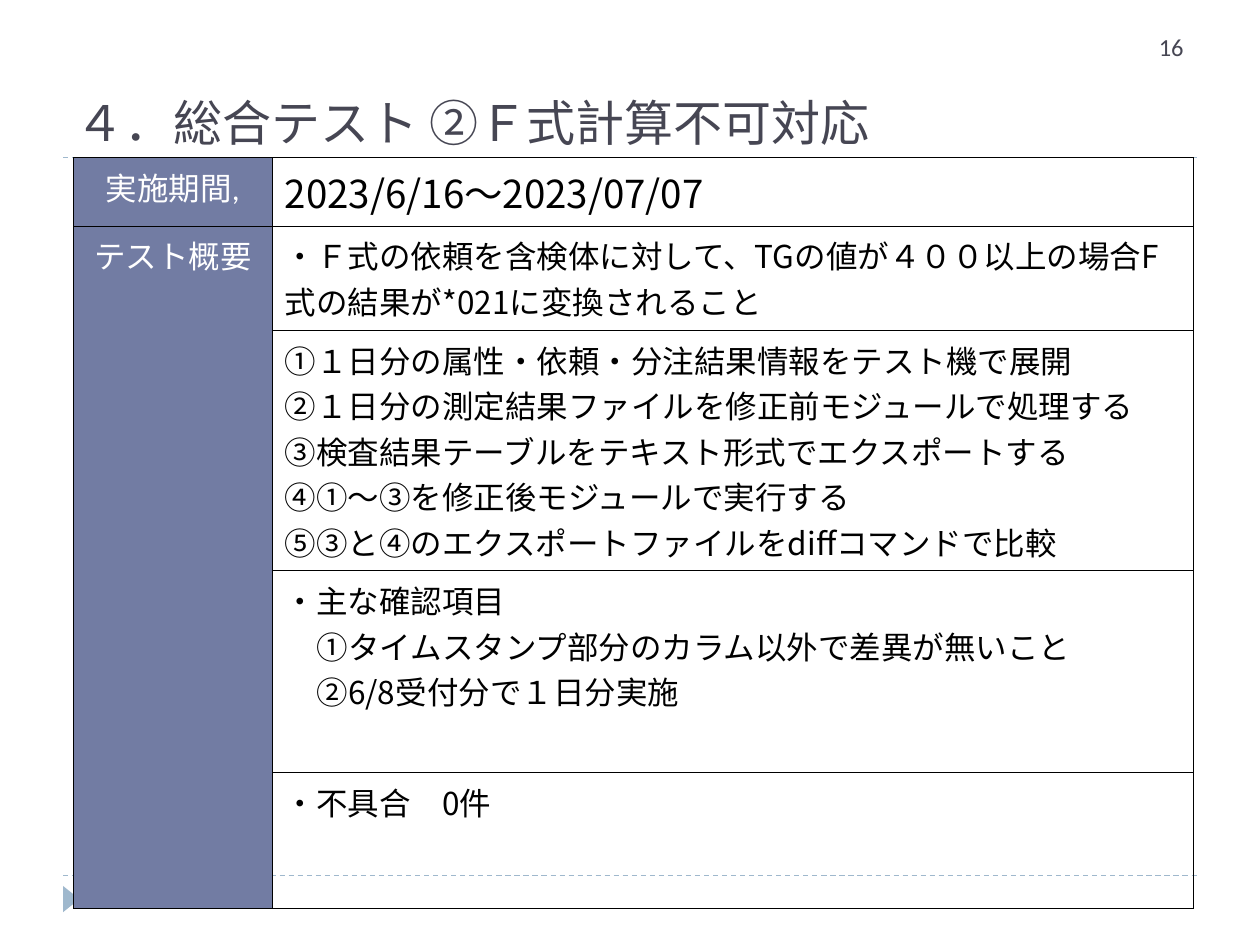
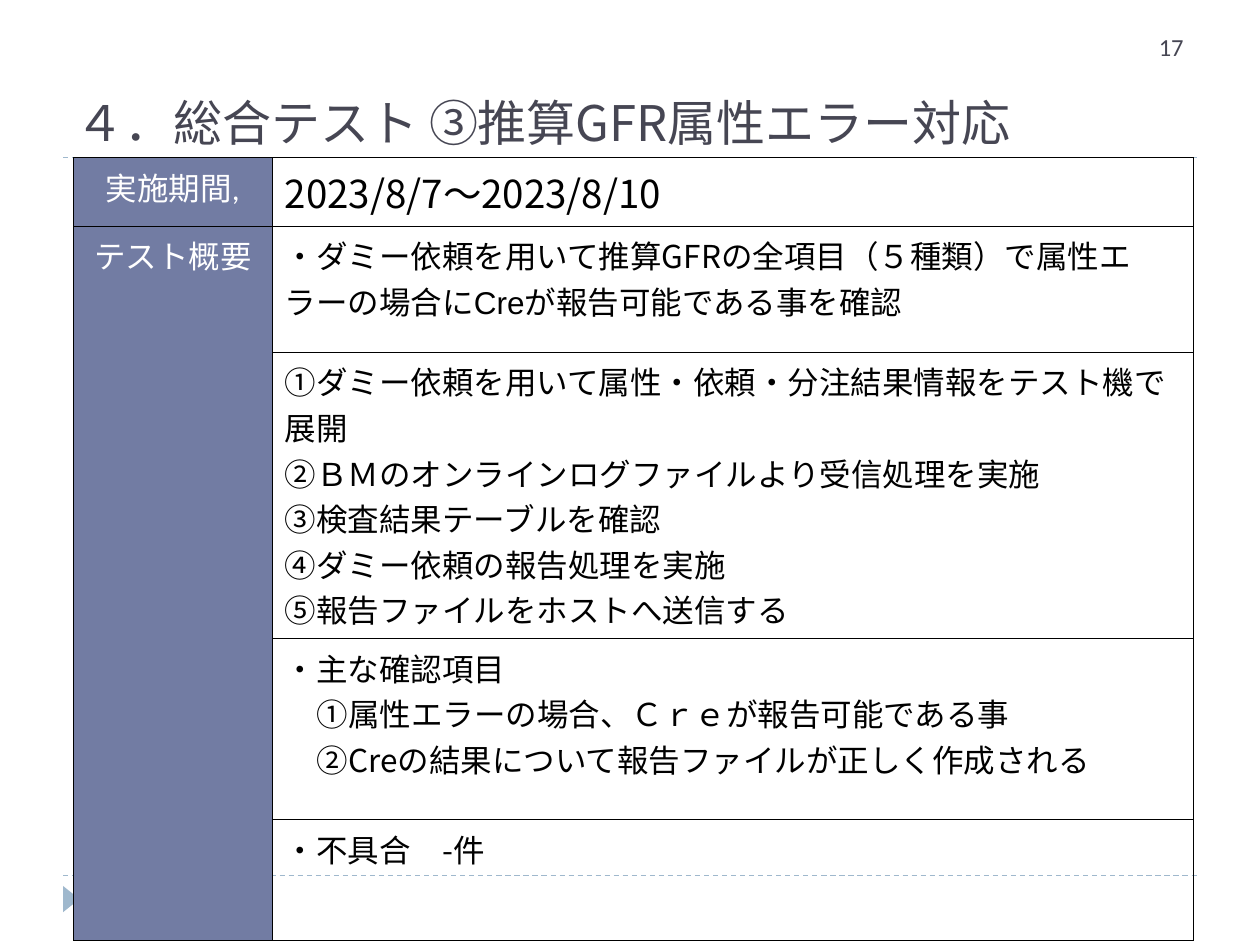
from pptx import Presentation as Pres
from pptx.dml.color import RGBColor as RGB
from pptx.enum.dml import MSO_LINE as Dash
from pptx.enum.shapes import MSO_CONNECTOR as Conn, MSO_SHAPE as Shape
from pptx.enum.text import MSO_ANCHOR as Anchor, MSO_AUTO_SIZE as Auto, PP_ALIGN as Align
from pptx.oxml import parse_xml
from pptx.oxml.ns import qn
from pptx.util import Cm, Pt
from lxml.etree import SubElement as Sub

NS = "http://schemas.openxmlformats.org/drawingml/2006/main"
NOTO, ARIAL, LATIN = "Noto Sans CJK JP", "Arial", "Calibri"
INK, NAVY, SKY, WHITE, BLACK = "464653", "727CA3", "9FB8CD", "FFFFFF", "000000"

HEAD = {"size": Pt(28), "name": NOTO, "color": INK}
PAGE = {"size": Pt(14), "name": LATIN, "color": INK}
LABEL = {"size": Pt(18), "name": LATIN, "color": WHITE}
DATE = {"size": Pt(22), "name": NOTO, "color": BLACK}
BODY = {**DATE, "size": Pt(18)}

LABELS = ["実施期間,", "テスト概要"]
COLS = [4.01, 18.57]
LEFT, RIGHT = 1.27, 24.13
TOP, FOOT = 3.18, 17.65

SLIDES = [
    {
        "page": "16",
        "title": ("４．総合テスト ②", "Ｆ式計算不可対応"),
        "rows": [1.37, 2.1, 4.83, 4.07, 2.73],
        "text": [
            ["2023/6/16～2023/07/07"],
            [("・Ｆ式の依頼を含検体に対して、TGの値が４００以上の場合F式の結果が*021に変換される", "こと")],
            [
                "①１日分の属性・依頼・分注結果情報をテスト機で展開",
                "②１日分の測定結果ファイルを修正前モジュールで処理する",
                "③検査結果テーブルをテキスト形式でエクスポートする",
                "④①～③を修正後モジュールで実行する",
                "⑤③と④のエクスポートファイルをdiffコマンドで比較",
            ],
            [
                "・主な確認項目",
                "①タイムスタンプ部分のカラム以外で差異が無いこと",
                "②6/8受付分で１日分実施",
            ],
            ["・不具合　0件"],
        ],
    },
    {
        "page": "17",
        "title": ("４．総合テスト ③推算GFR属性エラー", "対応"),
        "rows": [1.37, 2.54, 5.77, 3.66, 2.44],
        "text": [
            ["2023/8/7～2023/8/10"],
            [("・ダミー依頼を用いて推算GFRの全項目（５種類）で属性エラーの場合に", "Creが報告可能である事を確認")],
            [
                "①ダミー依頼を用いて属性・依頼・分注結果情報をテスト機で展開",
                "②ＢＭのオンラインログファイルより受信処理を実施",
                "③検査結果テーブルを確認",
                "④ダミー依頼の報告処理を実施",
                "⑤報告ファイルをホストへ送信する",
            ],
            [
                "・主な確認項目",
                "①属性エラーの場合、Ｃｒｅが報告可能である事",
                "②Creの結果について報告ファイルが正しく作成される",
            ],
            ["・不具合　-件"],
        ],
    },
]


def tint(part, color):
    part.solid()
    part.fore_color.rgb = RGB.from_string(color)


def apply(item, style):
    for key, value in style.items():
        if key == "color":
            item.color.rgb = RGB.from_string(value)
        else:
            setattr(item, key, value)


class Deck:
    def __init__(self):
        self.file = Pres()
        self.file.slide_width, self.file.slide_height = Cm(25.4), Cm(19.05)
        self.slide = None

    def start(self):
        self.slide = self.file.slides.add_slide(self.file.slide_layouts[5])
        tint(self.slide.background.fill, WHITE)

    def text(self, frame, lines, style, align=Align.LEFT, nest=False):
        for i, line in enumerate(lines):
            para = frame.paragraphs[0] if i == 0 else frame.add_paragraph()
            para.alignment = align
            if nest and i:
                para._p.get_or_add_pPr().set("marL", str(Cm(0.64)))
            parts = (line,) if isinstance(line, str) else line
            for words, name in zip(parts, (style["name"], ARIAL)):
                run = para.add_run()
                run.text = words
                apply(run.font, {**style, "name": name})
                Sub(run._r.get_or_add_rPr(), qn("a:ea"), typeface=NOTO)

    def rule(self, y):
        line = self.slide.shapes.add_connector(Conn.STRAIGHT, Cm(LEFT), Cm(y), Cm(RIGHT), Cm(y))
        apply(line.line, {"color": SKY, "width": Pt(0.75), "dash_style": Dash.DASH})
        Sub(line._element.spPr, qn("a:effectLst"))

    def mark(self):
        mark = self.slide.shapes.add_shape(
            Shape.ISOSCELES_TRIANGLE, Cm(1.17), Cm(17.96), Cm(0.53), Cm(0.33))
        mark.rotation = 90
        mark.shadow.inherit = False
        tint(mark.fill, SKY)
        mark.line.fill.background()

    def title(self, words):
        head = self.slide.shapes.title
        apply(head, {"left": Cm(LEFT), "top": Cm(0.64), "width": Cm(22.86), "height": Cm(2.54)})
        frame = head.text_frame
        apply(frame, {"auto_size": Auto.NONE, "word_wrap": True, "vertical_anchor": Anchor.BOTTOM})
        self.text(frame, [words], HEAD)

    def page(self, words):
        box = self.slide.shapes.add_textbox(Cm(23.11), Cm(0.53), Cm(3.38), Cm(1.02))
        box.text_frame.word_wrap = True
        self.text(box.text_frame, [words], PAGE)

    def edge(self, cell):
        props = cell._tc.get_or_add_tcPr()
        for i, side in enumerate("LRTB"):
            props.insert(i, parse_xml(
                f'<a:ln{side} xmlns:a="{NS}" w="{Pt(0.45)}"><a:solidFill>'
                f'<a:srgbClr val="{BLACK}"/></a:solidFill></a:ln{side}>'))

    def table(self, rows, texts):
        grid = self.slide.shapes.add_table(
            len(rows), len(COLS), Cm(1.48), Cm(TOP), Cm(sum(COLS)), Cm(sum(rows))).table
        apply(grid, {"first_row": False, "horz_banding": False})
        for col, width in zip(grid.columns, COLS):
            col.width = Cm(width)
        for i, (row, height) in enumerate(zip(grid.rows, rows)):
            row.height = Cm(height)
            label, body = row.cells
            tint(label.fill, NAVY)
            body.fill.background()
            self.edge(label)
            self.edge(body)
            self.text(body.text_frame, texts[i], BODY if i else DATE, nest=i == 3)
        grid.cell(1, 0).merge(grid.cell(len(rows) - 1, 0))
        for i, words in enumerate(LABELS):
            self.text(grid.cell(i, 0).text_frame, [words], LABEL, Align.CENTER)


def main():
    deck = Deck()
    for data in SLIDES:
        deck.start()
        for y in (FOOT, TOP):
            deck.rule(y)
        deck.mark()
        deck.table(data["rows"], data["text"])
        deck.title(data["title"])
        deck.page(data["page"])
    deck.file.save("out.pptx")


if __name__ == "__main__":
    main()
